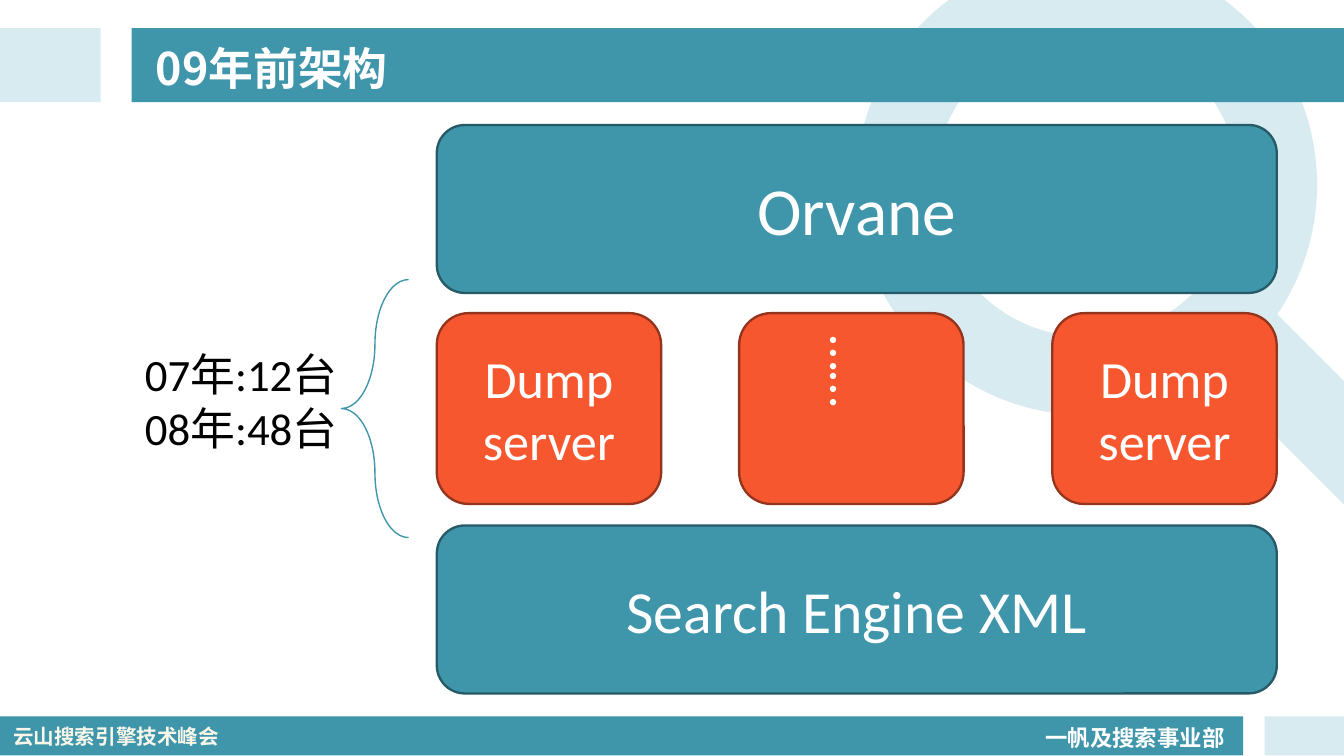
from pptx import Presentation
from pptx.dml.color import RGBColor
from pptx.enum import shapes, text
from pptx.oxml.ns import qn
from pptx.util import Inches, Pt

COLORS = {
    "teal": "3F95AA", "teal_edge": "265A67", "pale": "D7EBF0",
    "orange": "F7572F", "orange_edge": "95341D",
    "white": "FFFFFF", "cream": "F9F7EA", "black": "000000",
}
LATIN, CJK = "Calibri", "Noto Sans CJK SC"
KIND = shapes.MSO_SHAPE

# kind, (left, top, width, height), colour, adjustment, rotation
BACKDROP = [
    (KIND.DONUT, (6.37, -0.34, 3.43, 3.43), "pale", 0.17, 0),
    (KIND.ROUNDED_RECTANGLE, (8.66, 2.7, 2.14, 0.65), "pale", 0.5, 45),
    (KIND.RECTANGLE, (0, 5.33, 9.25, 0.29), "teal", None, 0),
    (KIND.RECTANGLE, (9.41, 5.33, 0.59, 0.29), "pale", None, 0),
    (KIND.RECTANGLE, (0, 0.21, 0.75, 0.55), "pale", None, 0),
    (KIND.RECTANGLE, (0.98, 0.21, 9.02, 0.55), "teal", None, 0),
]

# lines, (left, top, width, height), text format, frame format
LABELS = [
    (["一帆及搜索事业部"], (7.68, 5.3, 1.55, 0.33),
     dict(size=12, color="white", bold=True, spacing=1.2), dict(word_wrap=False)),
    (["云山搜索引擎技术峰会"], (0, 5.34, 1.77, 0.29),
     dict(size=11, color="cream", bold=True, font=CJK), {}),
    (["09年前架构"], (1.06, 0.23, 8.44, 0.54),
     dict(size=24, color="white", bold=True, font=CJK),
     dict(vertical_anchor=text.MSO_ANCHOR.MIDDLE)),
    (["07年:12台", "08年:48台"], (0.98, 2.53, 1.67, 0.91),
     dict(size=24, color="black"), {}),
]

STACK_LEFT, STACK_WIDTH = 3.25, 6.25
LAYERS = [("Orvane", 0.93, 36), ("Search Engine XML", 3.91, 32)]
LAYER_HEIGHT = 1.25
# label, left, vertical text
SERVERS = [("Dump\nserver", 3.25, False), ("……", 5.5, True), ("Dump\nserver", 7.83, False)]
SERVER_TOP, SERVER_WIDTH, SERVER_HEIGHT = 2.33, 1.67, 1.42
BRACE = (2.54, 2.08, 0.5, 1.92)


def rgb(name):
    return RGBColor.from_string(COLORS[name])


def inches(box):
    return [Inches(value) for value in box]


def write(frame, lines, size, color, bold=False, font=LATIN, align=None, spacing=None):
    for index, line in enumerate(lines):
        paragraph = frame.paragraphs[0] if index == 0 else frame.add_paragraph()
        paragraph.text = line
        paragraph.alignment = align
        paragraph.line_spacing = spacing
        for run in paragraph.runs:
            for name, value in dict(size=Pt(size), bold=bold, name=font).items():
                setattr(run.font, name, value)
            run.font.color.rgb = rgb(color)
            east_asian = run.font._element.makeelement(qn("a:ea"), {"typeface": CJK})
            run.font._element.find(qn("a:latin")).addnext(east_asian)


def add_shape(slide, kind, box, fill=None, edge=None, width=1.25):
    shape = slide.shapes.add_shape(kind, *inches(box))
    shape.shadow.inherit = False
    if fill:
        shape.fill.solid()
        shape.fill.fore_color.rgb = rgb(fill)
    else:
        shape.fill.background()
    if edge:
        shape.line.color.rgb = rgb(edge)
        shape.line.width = Pt(width)
    else:
        shape.line.fill.background()
    return shape


def add_block(slide, label, box, fill, size):
    block = add_shape(slide, KIND.ROUNDED_RECTANGLE, box, fill, f"{fill}_edge")
    frame = block.text_frame
    frame.word_wrap = True
    frame.vertical_anchor = text.MSO_ANCHOR.MIDDLE
    write(frame, [label], size, "white", align=text.PP_ALIGN.CENTER)
    return block


def main():
    deck = Presentation()
    deck.slide_width = Inches(10)
    deck.slide_height = deck.slide_width * 9 // 16
    slide = deck.slides.add_slide(deck.slide_layouts[6])

    for kind, box, fill, adjustment, rotation in BACKDROP:
        piece = add_shape(slide, kind, box, fill)
        piece.rotation = rotation
        if adjustment is not None:
            piece.adjustments[0] = adjustment

    for lines, box, style, frame_format in LABELS:
        frame = slide.shapes.add_textbox(*inches(box)).text_frame
        for name, value in (dict(word_wrap=True) | frame_format).items():
            setattr(frame, name, value)
        write(frame, lines, **style)

    for label, left, vertical in SERVERS:
        box = (left, SERVER_TOP, SERVER_WIDTH, SERVER_HEIGHT)
        server = add_block(slide, label, box, "orange", 28)
        if vertical:
            server.text_frame._txBody.bodyPr.set("vert", "eaVert")

    brace = add_shape(slide, KIND.LEFT_BRACE, BRACE, edge="teal", width=0.75)
    brace.adjustments[0] = 1.34

    for label, top, size in LAYERS:
        box = (STACK_LEFT, top, STACK_WIDTH, LAYER_HEIGHT)
        add_block(slide, label, box, "teal", size)

    deck.save("out.pptx")


if __name__ == "__main__":
    main()
